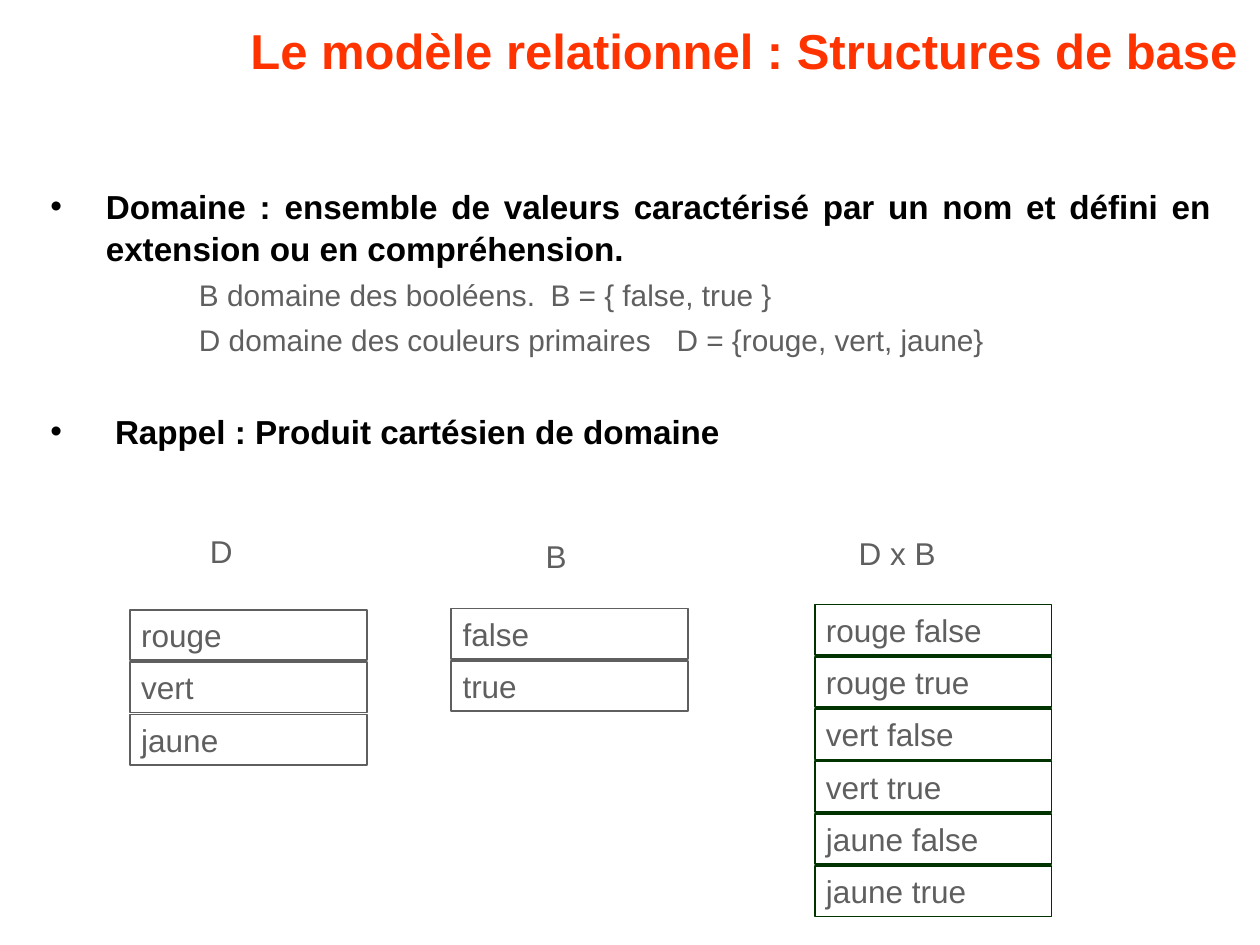
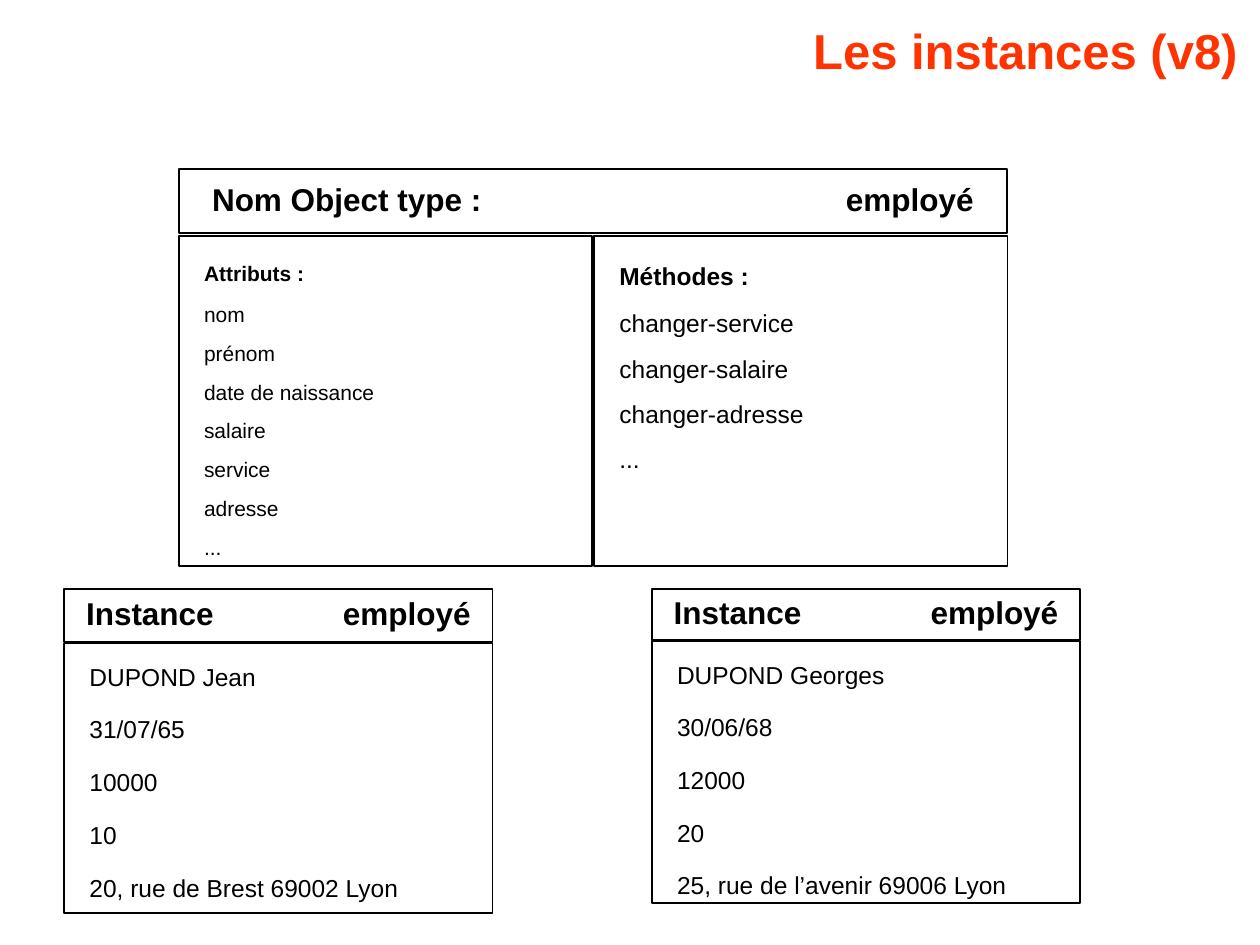
from pptx import Presentation
from pptx.dml.color import RGBColor
from pptx.enum.shapes import MSO_SHAPE
from pptx.enum.text import MSO_ANCHOR, MSO_AUTO_SIZE, PP_ALIGN
from pptx.oxml.ns import qn
from pptx.util import Pt
from lxml.etree import SubElement

FONT = "Arial"
RED = RGBColor(0xFF, 0x33, 0x00)
BLACK = RGBColor(0, 0, 0)
GREY = RGBColor(0x5F, 0x5F, 0x5F)
GREEN = RGBColor(0x00, 0x33, 0x00)

CELL_WIDTH, CELL_HEIGHT, CELL_PITCH = 135.4, 28.8, 29.9


def style(paragraph, size, color, bold=False, before=0, spacing=1.0):
    font = paragraph.font
    font.name, font.size, font.bold = FONT, Pt(size), bold
    font.color.rgb = color
    paragraph.space_before = Pt(before)
    paragraph.line_spacing = spacing


def set_margins(frame, left, top, right, bottom):
    frame.margin_left, frame.margin_top = Pt(left), Pt(top)
    frame.margin_right, frame.margin_bottom = Pt(right), Pt(bottom)


def set_indent(paragraph, left, first):
    properties = paragraph._p.get_or_add_pPr()
    properties.set("marL", str(Pt(left)))
    properties.set("indent", str(Pt(first)))


def add_bullet(paragraph):
    properties = paragraph._p.get_or_add_pPr()
    SubElement(properties, qn("a:buFont"), typeface=FONT)
    SubElement(properties, qn("a:buChar"), char="•")


def add_tab(paragraph, position, alignment="l"):
    tabs = SubElement(paragraph._p.get_or_add_pPr(), qn("a:tabLst"))
    SubElement(tabs, qn("a:tab"), pos=str(Pt(position)), algn=alignment)


def write_paragraphs(frame, texts):
    frame.text = texts[0]
    for text in texts[1:]:
        frame.add_paragraph().text = text
    return frame.paragraphs


def add_titled_slide(presentation, text):
    slide = presentation.slides.add_slide(presentation.slide_layouts[5])
    title = slide.shapes.title
    title.left, title.top = Pt(94.3), Pt(0)
    title.width, title.height = Pt(621.4), Pt(57.6)
    frame = title.text_frame
    frame.text = text
    frame.word_wrap = True
    frame.auto_size = MSO_AUTO_SIZE.NONE
    frame.vertical_anchor = MSO_ANCHOR.MIDDLE
    set_margins(frame, 8.6, 4.3, 8.6, 4.3)
    paragraph = frame.paragraphs[0]
    paragraph.alignment = PP_ALIGN.RIGHT
    style(paragraph, 28, RED, bold=True)
    return slide


def add_box(slide, left, top, width, height, color):
    box = slide.shapes.add_shape(
        MSO_SHAPE.RECTANGLE, Pt(left), Pt(top), Pt(width), Pt(height))
    box.shadow.inherit = False
    box.fill.background()
    box.line.color.rgb = color
    box.line.width = Pt(1)
    box.text_frame.word_wrap = True
    return box.text_frame


def add_definitions(slide, left, top, width, height):
    frame = slide.shapes.add_textbox(
        Pt(left), Pt(top), Pt(width), Pt(height)).text_frame
    frame.word_wrap = True
    set_margins(frame, 8.6, 4.3, 8.6, 4.3)
    domain, booleans, colors, reminder = write_paragraphs(frame, [
        "Domaine : ensemble de valeurs caractérisé par un nom et défini en "
        "extension ou en compréhension.",
        "B domaine des booléens.\tB = { false, true }",
        "D domaine des couleurs primaires\tD = {rouge, vert, jaune}",
        " Rappel : Produit cartésien de domaine",
    ])
    for paragraph, before in ((domain, 4.8), (reminder, 29.4)):
        paragraph.alignment = PP_ALIGN.JUSTIFY
        style(paragraph, 19, BLACK, True, before, 1.05)
        set_indent(paragraph, 31.7, -31.7)
        add_bullet(paragraph)
    for paragraph in (booleans, colors):
        style(paragraph, 17, GREY, False, 4.2, 1.05)
        set_indent(paragraph, 105.8, -20.9)
        add_tab(paragraph, 424)


def add_label(slide, text, left, top):
    frame = slide.shapes.add_textbox(
        Pt(left), Pt(top), Pt(60), Pt(28)).text_frame
    frame.word_wrap = True
    set_margins(frame, 6.5, 3.6, 6.5, 3.6)
    frame.text = text
    style(frame.paragraphs[0], 18, GREY)


def add_value_column(slide, left, top, values, color):
    for row, value in enumerate(values):
        frame = add_box(slide, left, top + row * CELL_PITCH,
                        CELL_WIDTH, CELL_HEIGHT, color)
        set_margins(frame, 6.5, 3.6, 6.5, 3.6)
        frame.vertical_anchor = MSO_ANCHOR.MIDDLE
        frame.text = value
        paragraph = frame.paragraphs[0]
        paragraph.alignment = PP_ALIGN.LEFT
        style(paragraph, 18, GREY)


def add_header(slide, left, top, width, height, texts, inset):
    frame = add_box(slide, left, top, width, height, BLACK)
    set_margins(frame, inset, 3.6, 7, 3.6)
    frame.vertical_anchor = MSO_ANCHOR.MIDDLE
    frame.text = "\t".join(texts)
    paragraph = frame.paragraphs[0]
    paragraph.alignment = PP_ALIGN.LEFT
    style(paragraph, 18, BLACK, bold=True, spacing=0.9)
    add_tab(paragraph, width - 2 * inset, "r")


def add_list_box(slide, left, top, width, height, lines, size, spacing,
                 headed=False):
    frame = add_box(slide, left, top, width, height, BLACK)
    set_margins(frame, 14.4, 14.4, 14.4, 14.4)
    frame.vertical_anchor = MSO_ANCHOR.TOP
    for row, paragraph in enumerate(write_paragraphs(frame, lines)):
        heading = headed and row == 0
        paragraph.alignment = PP_ALIGN.LEFT
        style(paragraph, size, BLACK, heading, size * 1.25,
              1.0 if heading else spacing)


def add_object_type(slide, left, top):
    column_width, column_height, pitch, header_pitch = 236.2, 188.6, 237.3, 38.2
    add_header(slide, left, top, 473.2, 36.7,
               ["Nom Object type :", "employé"], 19)
    columns = [
        (12, ["Attributs :", "nom", "prénom", "date de naissance", "salaire",
              "service", "adresse", "..."]),
        (14, ["Méthodes :", "changer-service", "changer-salaire",
              "changer-adresse", "..."]),
    ]
    for index, (size, lines) in enumerate(columns):
        add_list_box(slide, left + index * pitch, top + header_pitch,
                     column_width, column_height, lines, size, 0.5, True)


def add_instance(slide, left, top, header_height, body_height, values):
    width = 244.8
    add_header(slide, left, top, width, header_height,
               ["Instance", "employé"], 12.5)
    add_list_box(slide, left, top + header_height + 0.8, width, body_height,
                 values, 14, 0.75)


def build_domains_slide(presentation):
    slide = add_titled_slide(
        presentation, "Le modèle relationnel : Structures de base")
    add_definitions(slide, 20.2, 101, 680.4, 439)
    colors = ["rouge", "vert", "jaune"]
    booleans = ["false", "true"]
    product = [f"{color} {boolean}" for color in colors for boolean in booleans]
    add_label(slide, "D", 113.5, 300.5)
    add_label(slide, "B", 305.3, 303.3)
    add_label(slide, "D x B", 484.2, 301.7)
    add_value_column(slide, 74.2, 348.5, colors, GREY)
    add_value_column(slide, 257.8, 347.8, booleans, GREY)
    add_value_column(slide, 465.5, 345.4, product, GREEN)


def build_instances_slide(presentation):
    slide = add_titled_slide(presentation, "Les instances (v8)")
    add_object_type(slide, 102.2, 96.5)
    add_instance(slide, 36.7, 336.7, 30.2, 154.1, [
        "DUPOND Jean", "31/07/65", "10000", "10",
        "20, rue de Brest 69002 Lyon"])
    add_instance(slide, 372.5, 336.7, 28.9, 149.4, [
        "DUPOND Georges", "30/06/68", "12000", "20",
        "25, rue de l’avenir 69006 Lyon"])


def main():
    presentation = Presentation()
    presentation.slide_width, presentation.slide_height = Pt(720), Pt(540)
    build_domains_slide(presentation)
    build_instances_slide(presentation)
    presentation.save("out.pptx")


if __name__ == "__main__":
    main()
